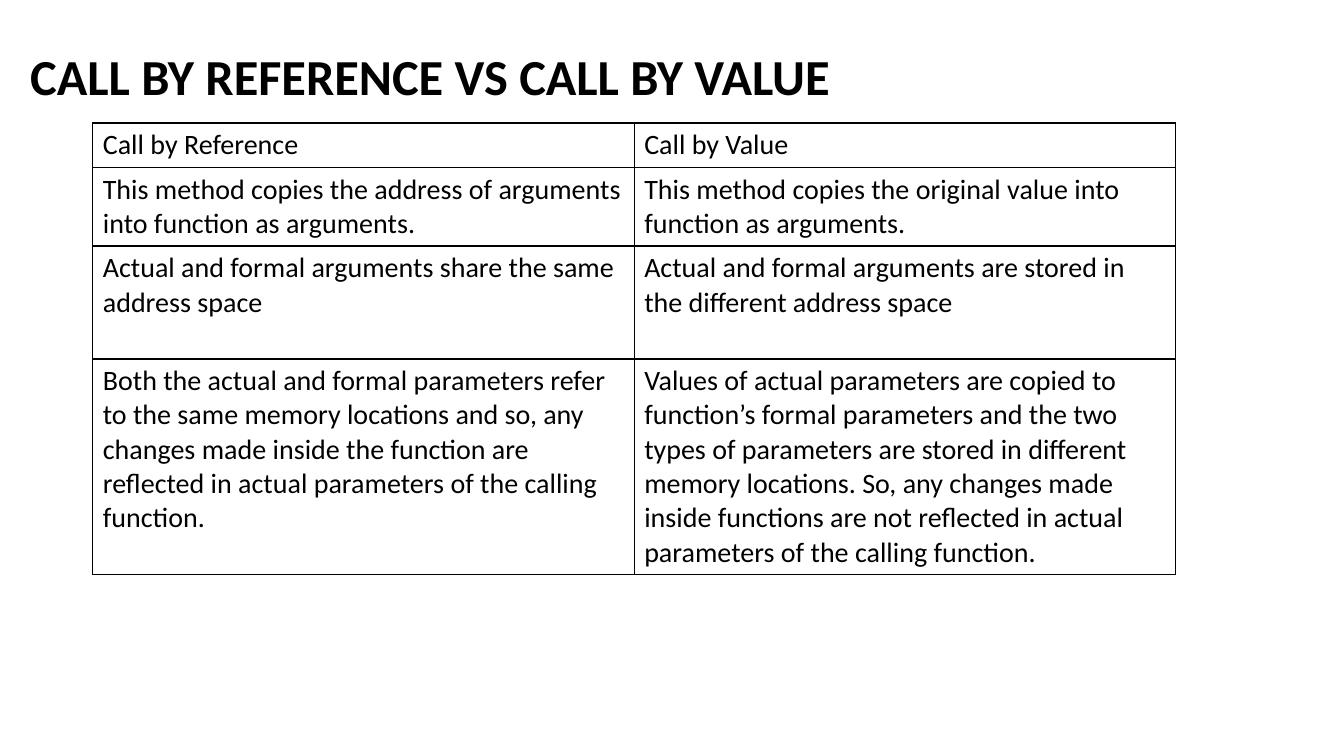
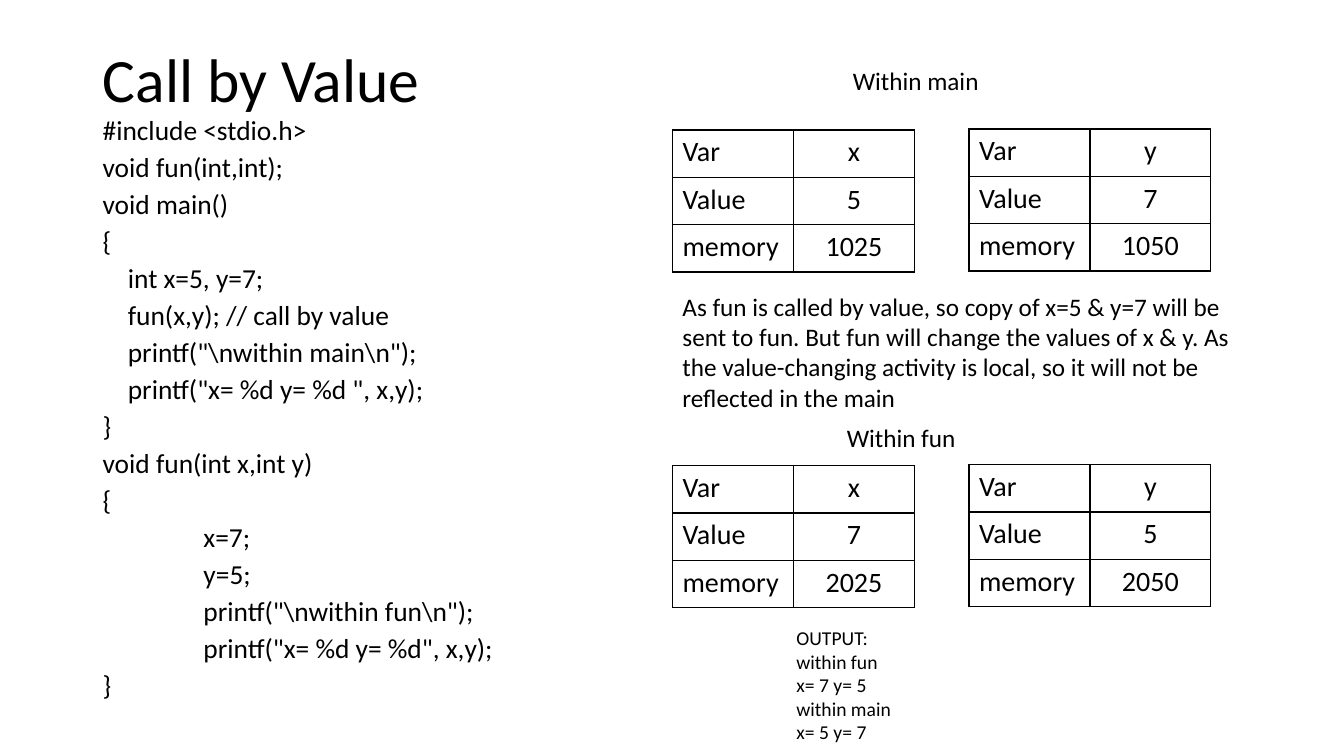
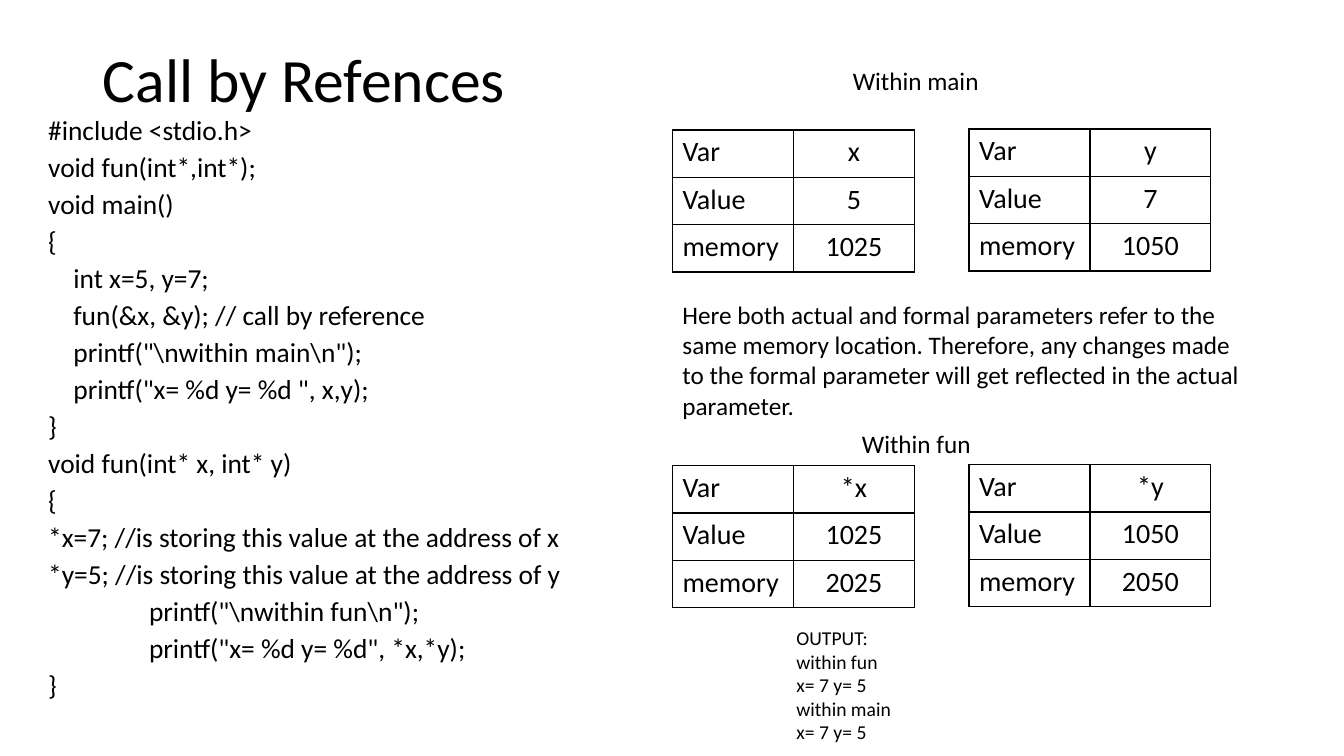
"""Build three slides comparing call by value with call by reference in C."""
from dataclasses import dataclass
from typing import NamedTuple

from lxml.etree import SubElement
from pptx import Presentation
from pptx.dml.color import RGBColor
from pptx.enum.text import MSO_ANCHOR, MSO_AUTO_SIZE, PP_ALIGN
from pptx.oxml.ns import qn
from pptx.slide import Slide
from pptx.table import _Cell
from pptx.text.text import TextFrame
from pptx.util import Inches, Length, Pt

FONT = "Calibri"
INK = "000000"
PAPER = "FFFFFF"
MAIN_INDENT = 0.25
FUN_INDENT = 1.0
MEMORY_LEFTS = (6.67, 9.61)
MEMORY_LABELS = ("Var", "Value", "memory")


class Box(NamedTuple):
    """A rectangle on the slide, in inches."""
    left: float
    top: float
    width: float
    height: float

    def lengths(self) -> tuple[Length, ...]:
        """Return the four measures as lengths."""
        return tuple(Inches(measure) for measure in self)


class CodeLine(NamedTuple):
    """One line of a program and its indent in inches."""
    text: str
    indent: float = 0


class Variable(NamedTuple):
    """A variable with its value and memory address."""
    name: str
    value: str
    memory: str


@dataclass(frozen=True)
class Scope:
    """The variables seen within one function."""
    caption: str
    caption_left: float
    caption_top: float
    tables_top: float
    variables: tuple[Variable, Variable]


@dataclass(frozen=True)
class Example:
    """A program with its memory tables, explanation and output."""
    title: str
    code_left: float
    code_width: float
    code: list[CodeLine]
    scopes: tuple[Scope, Scope]
    explanation: str
    explanation_top: float
    main_output: str


def color(value: str) -> RGBColor:
    """Turn a hex string into a colour."""
    return RGBColor.from_string(value)


def style_text(frame: TextFrame, size: float, bold: bool = False) -> None:
    """Give every run the shared font and ink."""
    for paragraph in frame.paragraphs:
        for run in paragraph.runs:
            run.font.name = FONT
            run.font.size = Pt(size)
            run.font.bold = bold
            run.font.color.rgb = color(INK)


def add_titled_slide(deck: Presentation, title: str, box: Box, size: float, bold: bool = False) -> Slide:
    """Add a title-only slide and format its title."""
    slide = deck.slides.add_slide(deck.slide_layouts[5])
    heading = slide.shapes.title
    heading.left, heading.top, heading.width, heading.height = box.lengths()
    frame = heading.text_frame
    frame.text = title
    frame.auto_size = MSO_AUTO_SIZE.NONE
    frame.vertical_anchor = MSO_ANCHOR.MIDDLE
    frame.paragraphs[0].alignment = PP_ALIGN.LEFT
    frame.paragraphs[0].line_spacing = 0.9
    style_text(frame, size, bold)
    return slide


def add_text(slide: Slide, text: str, box: Box, size: float, grows: bool = True) -> TextFrame:
    """Add a wrapped text box."""
    frame = slide.shapes.add_textbox(*box.lengths()).text_frame
    frame.word_wrap = True
    frame.auto_size = MSO_AUTO_SIZE.SHAPE_TO_FIT_TEXT if grows else MSO_AUTO_SIZE.NONE
    frame.text = text
    style_text(frame, size)
    return frame


def add_code(slide: Slide, code: list[CodeLine], box: Box) -> None:
    """Add a program listing with indented lines."""
    frame = add_text(slide, "\n".join(line.text for line in code), box, 19.6, grows=False)
    for paragraph, line in zip(frame.paragraphs, code):
        paragraph.line_spacing = 0.7
        paragraph.space_before = Pt(10)
        paragraph._p.get_or_add_pPr().set("marL", str(Inches(line.indent)))


def outline_cell(cell: _Cell) -> None:
    """Draw a thin border on all four sides of a cell."""
    properties = cell._tc.get_or_add_tcPr()
    for position, side in enumerate(("lnL", "lnR", "lnT", "lnB")):
        border = SubElement(properties, qn(f"a:{side}"), w=str(Pt(1)))
        fill = SubElement(border, qn("a:solidFill"))
        SubElement(fill, qn("a:srgbClr"), val=INK)
        properties.insert(position, border)


def add_grid(slide: Slide, rows: list[tuple[str, str]], left: float, top: float, column_width: float,
             heights: list[float], second_alignment: PP_ALIGN = PP_ALIGN.LEFT) -> None:
    """Add a two-column outlined table."""
    box = Box(left, top, 2 * column_width, sum(heights))
    table = slide.shapes.add_table(len(rows), 2, *box.lengths()).table
    table.first_row = table.horz_banding = False
    for table_row, height in zip(table.rows, heights):
        table_row.height = Inches(height)
    for row_index, row in enumerate(rows):
        for column_index, text in enumerate(row):
            cell = table.cell(row_index, column_index)
            cell.text_frame.text = text
            cell.fill.solid()
            cell.fill.fore_color.rgb = color(PAPER)
            outline_cell(cell)
            style_text(cell.text_frame, 20)
            if column_index == 1:
                cell.text_frame.paragraphs[0].alignment = second_alignment


def add_scope(slide: Slide, scope: Scope) -> None:
    """Add the caption and memory tables of a function."""
    for index, (left, variable) in enumerate(zip(MEMORY_LEFTS, scope.variables)):
        add_grid(slide, list(zip(MEMORY_LABELS, variable)), left, scope.tables_top - 0.01 * index,
                 1.2, [0.47] * 3, PP_ALIGN.CENTER)
    add_text(slide, scope.caption, Box(scope.caption_left, scope.caption_top, 4.09, 0.4), 18)


def add_example(deck: Presentation, example: Example) -> None:
    """Add a slide that traces one program."""
    slide = add_titled_slide(deck, example.title, Box(0.92, 0.4, 5.49, 0.84), 44)
    add_code(slide, example.code, Box(example.code_left, 1.16, example.code_width, 6.02))
    for scope in example.scopes:
        add_scope(slide, scope)
    add_text(slide, example.explanation, Box(6.67, example.explanation_top, 5.89, 1.31), 18)
    output = f"OUTPUT:\nwithin fun\nx= 7 y= 5\nwithin main\n{example.main_output}"
    add_text(slide, output, Box(7.8, 6.16, 3.51, 1.28), 14)


def write_program(prototype: str, call: str, definition: str, assignments: list[CodeLine],
                  printed: str) -> list[CodeLine]:
    """Compose the program around the parts that vary."""
    return [
        CodeLine("#include <stdio.h>"),
        CodeLine(f"void fun({prototype});"),
        CodeLine("void main()"),
        CodeLine("{"),
        CodeLine("int x=5, y=7;", MAIN_INDENT),
        CodeLine(call, MAIN_INDENT),
        CodeLine(r'printf("\nwithin main\n");', MAIN_INDENT),
        CodeLine('printf("x= %d y= %d ", x,y);', MAIN_INDENT),
        CodeLine("}"),
        CodeLine(f"void fun({definition})"),
        CodeLine("{"),
        *assignments,
        CodeLine(r'printf("\nwithin fun\n");', FUN_INDENT),
        CodeLine(f'printf("x= %d y= %d", {printed});', FUN_INDENT),
        CodeLine("}"),
    ]


COMPARISON = [
    ("Call by Reference", "Call by Value"),
    ("This method copies the address of arguments into function as arguments.",
     "This method copies the original value into function as arguments."),
    ("Actual and formal arguments share the same address space",
     "Actual and formal arguments are stored in the different address space"),
    ("Both the actual and formal parameters refer to the same memory locations and so, any changes "
     "made inside the function are reflected in actual parameters of the calling function.",
     "Values of actual parameters are copied to function’s formal parameters and the two types of "
     "parameters are stored in different memory locations. So, any changes made inside functions "
     "are not reflected in actual parameters of the calling function."),
]

MAIN_SCOPE = Scope("Within main", 8.36, 0.6, 1.29,
                   (Variable("x", "5", "1025"), Variable("y", "7", "1050")))

EXAMPLES = [
    Example(
        title="Call by Value",
        code_left=0.92,
        code_width=5.04,
        code=write_program("int,int", "fun(x,y); // call by value", "int x,int y",
                           [CodeLine("x=7;", FUN_INDENT), CodeLine("y=5;", FUN_INDENT)], "x,y"),
        scopes=(MAIN_SCOPE, Scope("Within fun", 8.3, 4.14, 4.62,
                                  (Variable("x", "7", "2025"), Variable("y", "5", "2050")))),
        explanation="As fun is called by value, so copy of x=5 & y=7 will be sent to fun. But fun will "
                    "change the values of x & y. As the value-changing activity is local, so it will "
                    "not be reflected in the main",
        explanation_top=2.84,
        main_output="x= 5 y= 7",
    ),
    Example(
        title="Call by Refences",
        code_left=0.38,
        code_width=5.57,
        code=write_program("int*,int*", "fun(&x, &y); // call by reference", "int* x, int* y",
                           [CodeLine("*x=7; //is storing this value at the address of x"),
                            CodeLine("*y=5; //is storing this value at the address of y")], "*x,*y"),
        scopes=(MAIN_SCOPE, Scope("Within fun", 8.45, 4.2, 4.62,
                                  (Variable("*x", "1025", "2025"), Variable("*y", "1050", "2050")))),
        explanation="Here both actual and formal parameters refer to the same memory location. "
                    "Therefore, any changes made to the formal parameter will get reflected in the "
                    "actual parameter.",
        explanation_top=2.92,
        main_output="x= 7 y= 5",
    ),
]


def main() -> None:
    """Build and save the deck."""
    deck = Presentation()
    deck.slide_width, deck.slide_height = Inches(13.33), Inches(7.5)
    comparison = add_titled_slide(deck, "CALL BY REFERENCE VS CALL BY VALUE",
                                  Box(0.2, 0.4, 11.63, 0.77), 36, bold=True)
    add_grid(comparison, COMPARISON, 0.92, 1.22, 5.37, [0.44, 0.78, 1.12, 2.14])
    for example in EXAMPLES:
        add_example(deck, example)
    deck.save("out.pptx")


if __name__ == "__main__":
    main()
